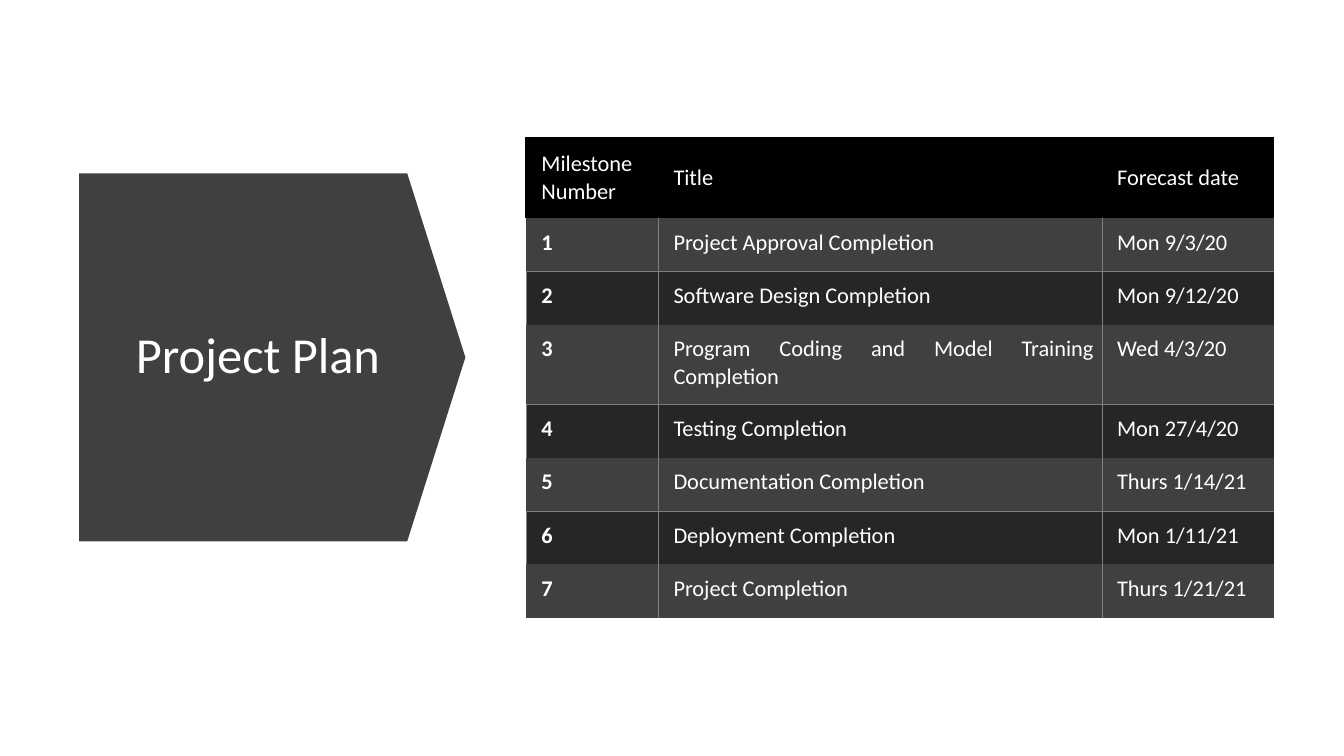
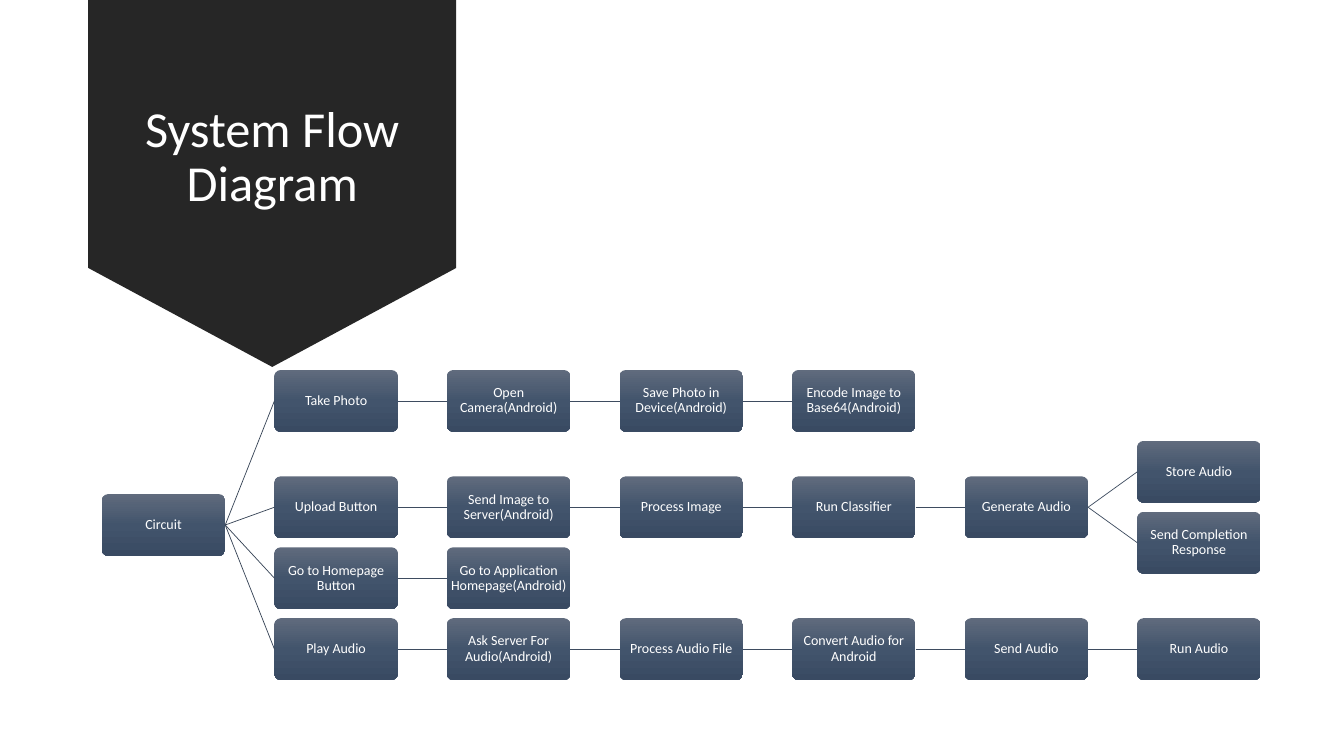
from copy import deepcopy

from lxml import etree
from pptx import Presentation
from pptx.dml.color import RGBColor
from pptx.enum.shapes import MSO_CONNECTOR, MSO_SHAPE
from pptx.enum.text import MSO_ANCHOR, MSO_AUTO_SIZE, PP_ALIGN
from pptx.oxml.ns import qn
from pptx.util import Inches, Pt

DOWN_ARROW, ROUNDED = MSO_SHAPE.DOWN_ARROW, MSO_SHAPE.ROUNDED_RECTANGLE
STRAIGHT = MSO_CONNECTOR.STRAIGHT
MIDDLE, TOP = MSO_ANCHOR.MIDDLE, MSO_ANCHOR.TOP
CENTER, JUSTIFY = PP_ALIGN.CENTER, PP_ALIGN.JUSTIFY
LEFT_SITE, RIGHT_SITE = 1, 3
TITLE_ONLY = 5
NO_STYLE = "{2D5ABB26-0587-4C30-8999-92F81FD0307C}"

COLORS = {
    "white": "FFFFFF", "black": "000000", "gray": "404040", "dark": "262626",
    "rule": "808080", "root_line": "364355", "line": "3E4C60",
    "box_top": "606B7D", "box_mid": "42546C", "box_end": "394A62",
}
RGB = {name: RGBColor.from_string(value) for name, value in COLORS.items()}

prs = Presentation()
prs.slide_width, prs.slide_height = Inches(13.33), Inches(7.5)


def share(x, y, w, h):
    return [int(size * part / 100) for size, part in
            zip((prs.slide_width, prs.slide_height) * 2, (x, y, w, h))]


def write(tf, text, size, align, bold=False, spacing=None):
    tf.word_wrap = True
    p = tf.paragraphs[0]
    p.alignment, p.line_spacing = align, spacing
    r = p.add_run()
    r.text = text
    for name, value in {"name": "Calibri", "size": Pt(size), "bold": bold}.items():
        setattr(r.font, name, value)
    r.font.color.rgb = RGB["white"]


headings = [
    {"text": "Project Plan", "title": (8.4, 28.67, 21.6, 37.2),
     "arrow": (6.57, 21.73, 27.38, 51.07), "rotation": 270, "tip": 0.158, "fill": "gray"},
    {"text": "System Flow Diagram", "title": (8.4, 2.8, 23.71, 36.27),
     "arrow": (6.57, -0.13, 27.38, 48.67), "rotation": 0, "tip": 0.269, "fill": "dark"},
]
slides = []
for heading in headings:
    s = prs.slides.add_slide(prs.slide_layouts[TITLE_ONLY])
    title = s.shapes.title
    title.left, title.top, title.width, title.height = share(*heading["title"])
    tf = title.text_frame
    tf.auto_size, tf.vertical_anchor = MSO_AUTO_SIZE.NONE, MIDDLE
    write(tf, heading["text"], 36, CENTER, spacing=0.9)
    arrow = s.shapes.add_shape(DOWN_ARROW, *share(*heading["arrow"]))
    arrow.adjustments[0], arrow.adjustments[1] = 1, heading["tip"]
    arrow.rotation = heading["rotation"]
    arrow.shadow.inherit = False
    arrow.fill.solid()
    arrow.fill.fore_color.rgb = RGB[heading["fill"]]
    arrow.line.fill.background()
    title._element.addprevious(arrow._element)
    slides.append(s)
plan, flow = slides

milestones = [
    ("Milestone Number", "Title", "Forecast date"),
    ("1", "Project Approval Completion", "Mon 9/3/20"),
    ("2", "Software Design Completion", "Mon 9/12/20"),
    ("3", "Program Coding and Model Training Completion", "Wed 4/3/20"),
    ("4", "Testing Completion", "Mon 27/4/20"),
    ("5", "Documentation Completion", "Thurs 1/14/21"),
    ("6", "Deployment Completion", "Mon 1/11/21"),
    ("7", "Project Completion", "Thurs 1/21/21"),
]
last_row, last_col = len(milestones) - 1, 2
table = plan.shapes.add_table(8, 3, *share(39.16, 18.27, 55.6, 63.47)).table
table._tbl.tblPr.find(qn("a:tableStyleId")).text = NO_STYLE
table.horz_banding = False
for column, width in zip(table.columns, (1.31, 4.4, 1.71)):
    column.width = Inches(width)
for i, row in enumerate(milestones):
    table.rows[i].height = Inches(0.79 if i in (0, 3) else 0.53)
    odd = i % 2 == 1
    for j, text in enumerate(row):
        cell = table.cell(i, j)
        header = i == 0
        margins = {"left": 0.15, "top": 0.11, "right": 0.08, "bottom": 0.11}
        for side, margin in margins.items():
            setattr(cell, "margin_" + side, Inches(margin))
        cell.vertical_anchor = MIDDLE if header else TOP
        write(cell.text_frame, text, 16, JUSTIFY, bold=j == 0 and not header)
        if header:
            edges = {"L": j == 0, "R": False, "T": True, "B": False}
        else:
            edges = {"L": j > 0 or not odd, "R": j < last_col,
                     "T": not odd, "B": odd and i < last_row}
        for edge, shown in edges.items():
            ln = etree.SubElement(cell._tc.get_or_add_tcPr(), qn("a:ln" + edge),
                                  w=str(Pt(1.5 if header else 0.5)))
            fill = etree.SubElement(ln, qn("a:solidFill" if shown else "a:noFill"))
            if shown:
                etree.SubElement(fill, qn("a:srgbClr"),
                                 val=COLORS["black" if header else "rule"])
        cell.fill.solid()
        cell.fill.fore_color.rgb = RGB["black" if header else "gray" if odd else "dark"]

chains = [
    (1.75, None, ["Circuit"]),
    (0, "Circuit", ["Take Photo", "Open Camera(Android)", "Save Photo in Device(Android)",
                    "Encode Image to Base64(Android)"]),
    (1.5, "Circuit", ["Upload Button", "Send Image to Server(Android)", "Process Image",
                      "Run Classifier", "Generate Audio"]),
    (1, "Generate Audio", ["Store Audio"]),
    (2, "Generate Audio", ["Send Completion Response"]),
    (2.5, "Circuit", ["Go to Homepage Button", "Go to Application Homepage(Android)"]),
    (3.5, "Circuit", ["Play Audio", "Ask Server For Audio(Android)", "Process Audio File",
                      "Convert Audio for Android", "Send Audio", "Run Audio"]),
]
boxes = {}
for row, parent, steps in chains:
    for text in steps:
        col = boxes[parent][1] + 1 if parent else 0
        sp = flow.shapes.add_shape(
            ROUNDED, *share(7.58 + 12.84 * col, 48.95 + 9.38 * row, 9.18, 8.16))
        sp.adjustments[0] = 0.1
        sp.shadow.inherit = False
        sp.line.fill.background()
        sp.fill.gradient()
        sp.fill.gradient_angle = 270
        stop_list = sp._element.spPr.find(qn("a:gradFill")).find(qn("a:gsLst"))
        stop_list.append(deepcopy(stop_list[0]))
        for stop, position, name in zip(sp.fill.gradient_stops, (0, 0.5, 1),
                                        ("box_top", "box_mid", "box_end")):
            stop.position, stop.color.rgb = position, RGB[name]
        tf = sp.text_frame
        tf.vertical_anchor = MIDDLE
        for side in ("left", "top", "right", "bottom"):
            setattr(tf, "margin_" + side, Inches(0.01))
        write(tf, text, 10, CENTER, spacing=0.9)
        if parent:
            link = flow.shapes.add_connector(STRAIGHT, 0, 0, 0, 0)
            link.begin_connect(boxes[parent][0], RIGHT_SITE)
            link.end_connect(sp, LEFT_SITE)
            link.line.width = Pt(0.5)
            link.line.color.rgb = RGB["root_line" if col == 1 else "line"]
            etree.SubElement(link._element.spPr, qn("a:effectLst"))
        boxes[text] = sp, col
        parent = text

prs.save("out.pptx")
